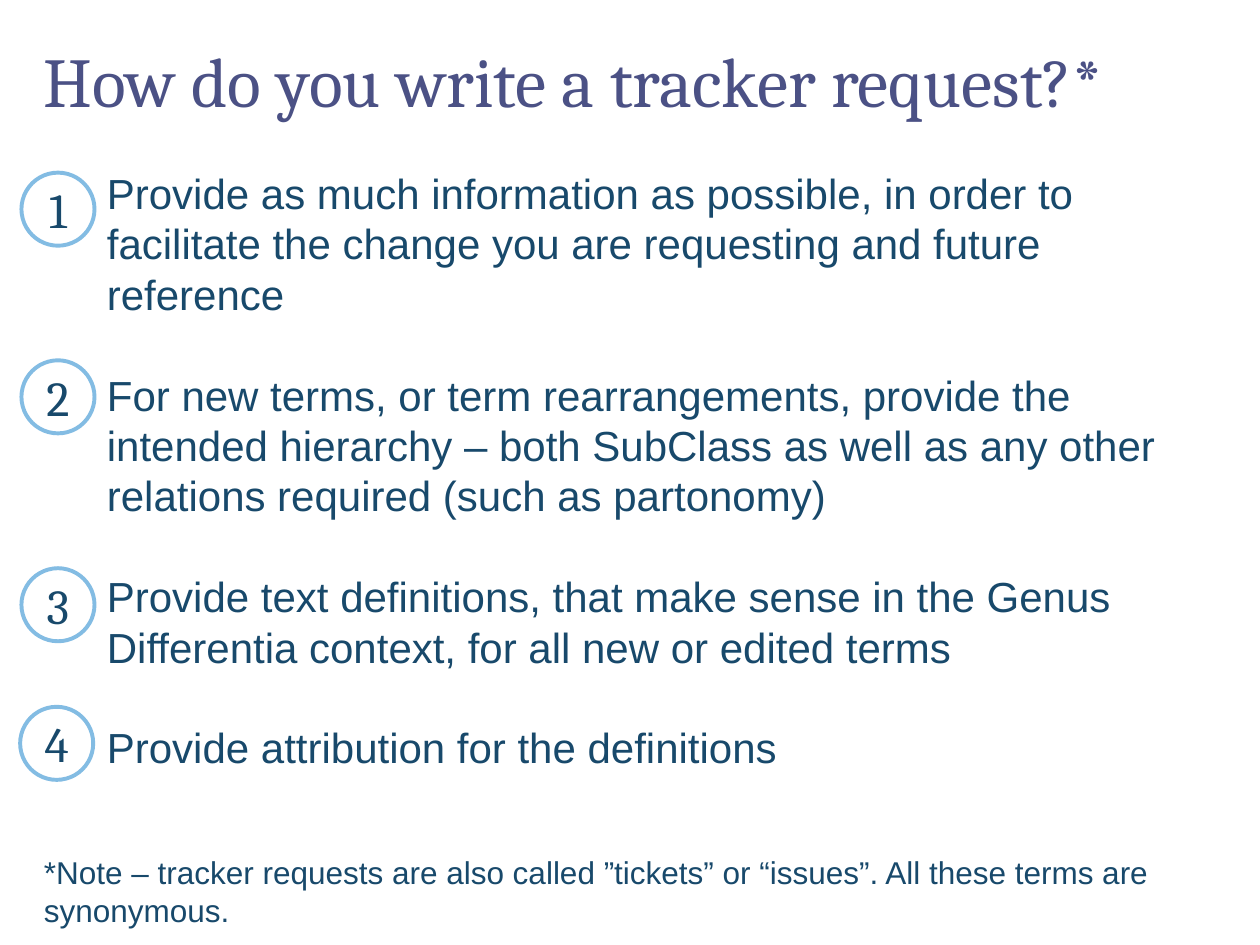
from dataclasses import dataclass

from pptx import Presentation
from pptx.dml.color import RGBColor
from pptx.enum.shapes import MSO_SHAPE
from pptx.enum.text import MSO_ANCHOR, PP_ALIGN
from pptx.slide import Slide
from pptx.text.text import TextFrame
from pptx.util import Pt

EMU_PER_PX = 9144
BADGE_SIZE = 58
COLORS = {"title": "4B5185", "body": "18496B", "ring": "83BCE3"}


@dataclass(frozen=True)
class TextStyle:
    font: str
    size: int
    color: str


@dataclass(frozen=True)
class Step:
    advice: str
    badge_left: int
    badge_top: int


TITLE = TextStyle("Cambria", 40, "title")
BODY = TextStyle("Arial", 24, "body")
NUMBER = TextStyle("Cambria", 28, "body")
NOTE = TextStyle("Arial", 18, "body")

STEPS = [
    Step("Provide as much information as possible, in order to facilitate "
         "the change you are requesting and future reference", 17, 137),
    Step("For new terms, or term rearrangements, provide the intended hierarchy – "
         "both SubClass as well as any other relations required (such as partonomy)", 17, 286),
    Step("Provide text definitions, that make sense in the Genus Differentia "
         "context, for all new or edited terms", 17, 451),
    Step("Provide attribution for the definitions", 16, 561),
]


def px(length: int) -> int:
    return length * EMU_PER_PX


def color(key: str) -> RGBColor:
    return RGBColor.from_string(COLORS[key])


def write(frame: TextFrame, lines: list[str], style: TextStyle, gap: float = 0) -> None:
    frame.word_wrap = True
    for index, line in enumerate(lines):
        paragraph = frame.add_paragraph() if index else frame.paragraphs[0]
        paragraph.text = line
        paragraph.font.name = style.font
        paragraph.font.size = Pt(style.size)
        paragraph.font.color.rgb = color(style.color)
        if index:
            paragraph.space_before = Pt(gap)


def add_text(slide: Slide, box: tuple[int, int, int, int], lines: list[str],
             style: TextStyle, gap: float = 0) -> TextFrame:
    frame = slide.shapes.add_textbox(*map(px, box)).text_frame
    write(frame, lines, style, gap)
    return frame


def add_badge(slide: Slide, number: int, step: Step) -> None:
    badge = slide.shapes.add_shape(
        MSO_SHAPE.OVAL, px(step.badge_left), px(step.badge_top), px(BADGE_SIZE), px(BADGE_SIZE))
    badge.shadow.inherit = False
    badge.fill.background()
    badge.line.color.rgb = color("ring")
    badge.line.width = Pt(2.25)
    frame = badge.text_frame
    frame.margin_left = frame.margin_right = 0
    frame.vertical_anchor = MSO_ANCHOR.MIDDLE
    write(frame, [str(number)], NUMBER)
    frame.paragraphs[0].alignment = PP_ALIGN.CENTER


def main() -> None:
    """Build the slide on writing tracker requests."""
    deck = Presentation()
    deck.slide_width, deck.slide_height = px(1000), px(750)
    slide = deck.slides.add_slide(deck.slide_layouts[6])

    heading = add_text(slide, (25, 17, 951, 100), ["How do you write a tracker request?*"], TITLE)
    heading.vertical_anchor = MSO_ANCHOR.MIDDLE
    heading.paragraphs[0].line_spacing = 0.9

    add_text(slide, (75, 128, 881, 535), [step.advice for step in STEPS], BODY, gap=28.8)
    for number, step in enumerate(STEPS, start=1):
        add_badge(slide, number, step)

    add_text(slide, (25, 672, 951, 71),
             ["*Note – tracker requests are also called ”tickets” or “issues”. "
              "All these terms are synonymous."], NOTE)
    deck.save("out.pptx")


if __name__ == "__main__":
    main()
